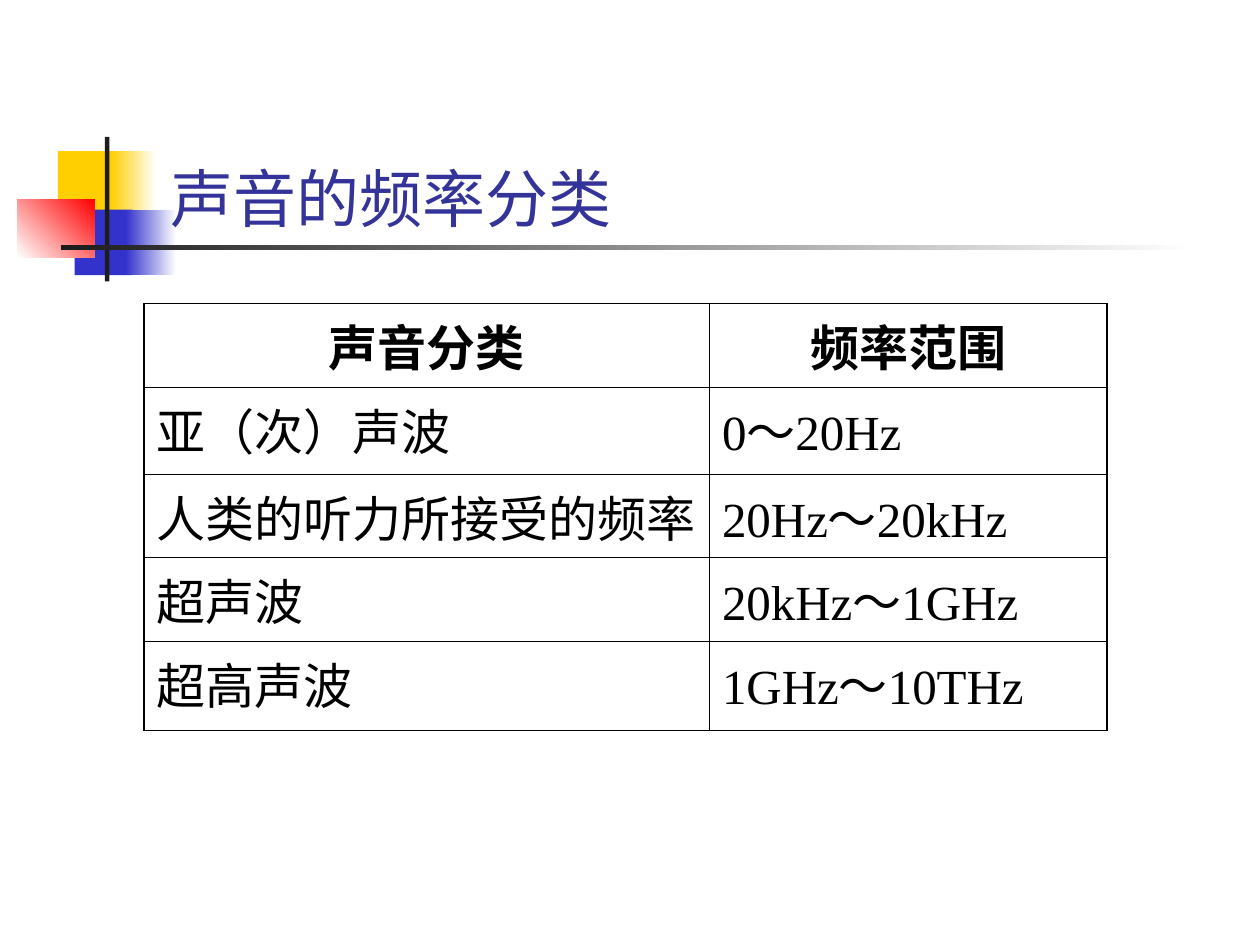
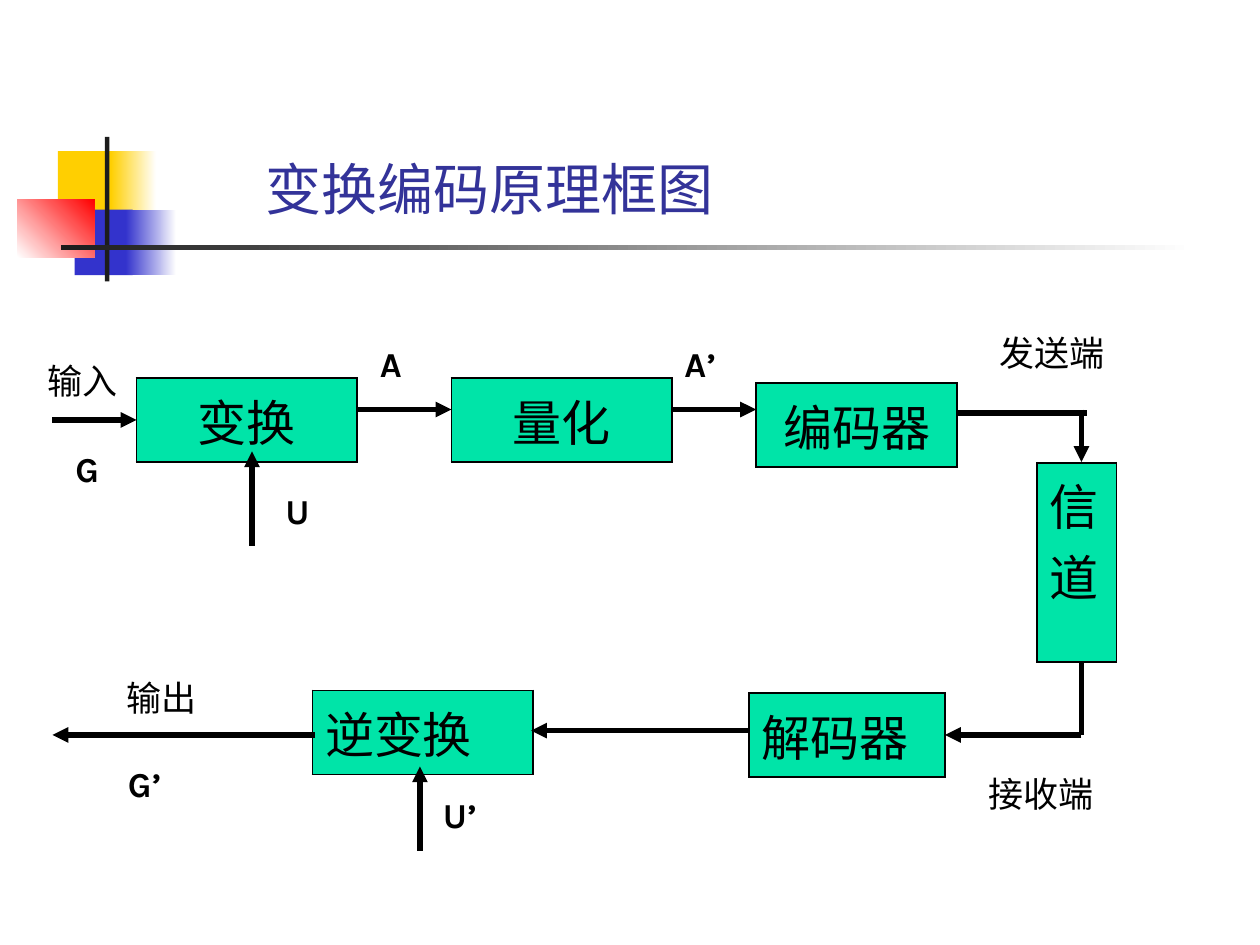
from typing import NamedTuple, Optional

from lxml.etree import SubElement
from pptx import Presentation
from pptx.dml.color import RGBColor
from pptx.enum.shapes import MSO_CONNECTOR as CONN, MSO_SHAPE as SHAPE
from pptx.enum.text import MSO_ANCHOR as ANCHOR, PP_ALIGN as ALIGN
from pptx.oxml.ns import qn
from pptx.util import Pt

BLACK = RGBColor(0x00, 0x00, 0x00)
WHITE = RGBColor(0xFF, 0xFF, 0xFF)
YELLOW = RGBColor(0xFF, 0xCF, 0x01)
BLUE = RGBColor(0x33, 0x33, 0xCC)
RED = RGBColor(0xFF, 0x00, 0x00)
CHARCOAL = RGBColor(0x1C, 0x1C, 0x1C)
TITLE_COLOR = RGBColor(0x33, 0x33, 0x99)
GREEN = RGBColor(0x00, 0xE4, 0xA8)

SANS, CJK, SERIF = "Karla", "Noto Sans CJK SC", "Times New Roman"
THIN, THICK = 0.45, 1.08
BOX_HEIGHT = 48
LABEL_HEIGHT = 31.7


class Patch(NamedTuple):
    """A decoration rectangle, plain or fading to a second colour."""
    left: float
    top: float
    width: float
    height: float
    color: RGBColor
    fade_to: Optional[RGBColor] = None
    angle: float = 0


class Box(NamedTuple):
    text: str
    left: float
    top: float
    width: float
    height: float = BOX_HEIGHT
    align: ALIGN = ALIGN.LEFT


class Arrow(NamedTuple):
    x1: float
    y1: float
    x2: float
    y2: float
    head: bool = True


class Label(NamedTuple):
    text: str
    left: float
    top: float
    width: float
    bold: bool = False


DECORATION = [
    Patch(33.1, 86.4, 34.6, 37.4, YELLOW),
    Patch(63.4, 86.4, 25.9, 37.4, YELLOW, WHITE),
    Patch(42.7, 119.8, 33.1, 37.4, BLUE),
    Patch(72, 119.8, 28.8, 37.4, BLUE, WHITE),
    Patch(10, 113.8, 44, 33.1, WHITE, RED, 45),
    Patch(60, 78.2, 2.5, 82.6, CHARCOAL),
    Patch(34.6, 140.1, 648, 2.8, CHARCOAL, WHITE),
]

FREQUENCIES = [
    ("声音分类", "频率范围"),
    ("亚（次）声波", "0～20Hz"),
    ("人类的听力所接受的频率", "20Hz～20kHz"),
    ("超声波", "20kHz～1GHz"),
    ("超高声波", "1GHz～10THz"),
]
COLUMN_WIDTHS = [323, 227.1]
ROW_HEIGHTS = [47.8, 49.7, 47.8, 47.8, 51]

BOXES = [
    Box("变换", 78, 216, 126, align=ALIGN.CENTER),
    Box("量化", 258, 216, 126, align=ALIGN.CENTER),
    Box("编码器", 432, 219, 115, align=ALIGN.CENTER),
    Box("解码器", 428, 396, 112),
    Box("逆变换", 178.6, 394.6, 126),
    Box("信道", 592.6, 264.4, 45.4, 113.8),
]

ARROWS = [
    Arrow(30, 240, 78, 240),
    Arrow(204, 234, 258, 234),
    Arrow(384, 234, 432, 234),
    Arrow(547, 236, 621, 236, head=False),
    Arrow(618, 234, 618, 264),
    Arrow(618, 378, 618, 420, head=False),
    Arrow(618, 420, 540, 420),
    Arrow(428, 417.5, 303.5, 417.5),
    Arrow(180, 420, 30, 420),
    Arrow(240, 486, 240, 438),
    Arrow(144, 312, 144, 258),
]

LABELS = [
    Label("输入", 20, 202, 60),
    Label("发送端", 564, 186, 80),
    Label("接收端", 558, 438, 80),
    Label("输出", 65, 383, 60),
    Label("G", 36, 252, 48, True),
    Label("G’", 66, 432, 48, True),
    Label("U’", 246, 450, 48, True),
    Label("U", 156, 276, 48, True),
    Label("A’", 384, 192, 48, True),
    Label("A", 210, 192, 48, True),
]


def set_text(tf, text: str, size: float, font: str = SANS, color: RGBColor = BLACK,
             bold: bool = False, align: ALIGN = ALIGN.LEFT) -> None:
    tf.text = text
    p = tf.paragraphs[0]
    p.alignment = align
    r = p.runs[0]
    r.font.size, r.font.name, r.font.bold = Pt(size), font, bold
    r.font.color.rgb = color
    SubElement(r.font._element, qn("a:ea"), typeface=CJK)


def add_patch(slide, patch: Patch) -> None:
    s = slide.shapes.add_shape(SHAPE.RECTANGLE, Pt(patch.left), Pt(patch.top),
                               Pt(patch.width), Pt(patch.height))
    s.shadow.inherit = False
    s.line.fill.background()
    if patch.fade_to is None:
        s.fill.solid()
        s.fill.fore_color.rgb = patch.color
        return
    s.fill.gradient()
    s.fill.gradient_angle = patch.angle
    for stop, color in zip(s.fill.gradient_stops, (patch.color, patch.fade_to)):
        stop.color.rgb = color


def add_textbox(slide, left: float, top: float, width: float, height: float):
    """Add a wrapping text box and return its text frame."""
    tf = slide.shapes.add_textbox(Pt(left), Pt(top), Pt(width), Pt(height)).text_frame
    tf.word_wrap = True
    return tf


def add_slide(prs, title: str, size: float, left: float, top: float,
              width: float, height: float, font: str = SANS):
    """Add a blank slide with the shared decoration and its title."""
    slide = prs.slides.add_slide(prs.slide_layouts[6])
    for patch in DECORATION:
        add_patch(slide, patch)
    tf = add_textbox(slide, left, top, width, height)
    tf.vertical_anchor = ANCHOR.BOTTOM
    set_text(tf, title, size, font, TITLE_COLOR)
    return slide


def set_borders(cell, left: float, right: float, top: float, bottom: float) -> None:
    tc_pr = cell._tc.get_or_add_tcPr()
    for side, width in zip("LRTB", (left, right, top, bottom)):
        ln = SubElement(tc_pr, qn(f"a:ln{side}"), w=str(Pt(width)))
        fill = SubElement(ln, qn("a:solidFill"))
        SubElement(fill, qn("a:srgbClr"), val=str(BLACK))


def add_plain_table(slide, left: float, top: float, widths: list[float],
                    heights: list[float]):
    """Add a table without header or banding styles."""
    table = slide.shapes.add_table(len(heights), len(widths), Pt(left), Pt(top),
                                   Pt(sum(widths)), Pt(sum(heights))).table
    table.first_row = table.horz_banding = False
    for column, width in zip(table.columns, widths):
        column.width = Pt(width)
    for row, height in zip(table.rows, heights):
        row.height = Pt(height)
    return table


def add_frequency_table(slide) -> None:
    table = add_plain_table(slide, 82.4, 173.4, COLUMN_WIDTHS, ROW_HEIGHTS)
    last = len(FREQUENCIES) - 1
    for i, row in enumerate(FREQUENCIES):
        header = i == 0
        for j, text in enumerate(row):
            cell = table.cell(i, j)
            set_text(cell.text_frame, text, 28, SANS if header else SERIF, bold=header,
                     align=ALIGN.CENTER if header else ALIGN.LEFT)
            set_borders(cell, THICK if j == 0 else THIN, THICK if j == 1 else THIN,
                        THIN, THICK if i == last else THIN)
            cell.fill.background()


def add_box(slide, box: Box) -> None:
    cell = add_plain_table(slide, box.left, box.top, [box.width], [box.height]).cell(0, 0)
    set_text(cell.text_frame, box.text, 28, align=box.align)
    set_borders(cell, THICK, THICK, THICK, THICK)
    cell.fill.solid()
    cell.fill.fore_color.rgb = GREEN


def add_arrow(slide, arrow: Arrow) -> None:
    s = slide.shapes.add_connector(CONN.STRAIGHT, Pt(arrow.x1), Pt(arrow.y1),
                                   Pt(arrow.x2), Pt(arrow.y2))
    s.line.width = Pt(3)
    s.line.color.rgb = BLACK
    if arrow.head:
        SubElement(s.line._get_or_add_ln(), qn("a:tailEnd"), type="triangle")
    SubElement(s._element.spPr, qn("a:effectLst"))


def add_label(slide, label: Label) -> None:
    tf = add_textbox(slide, label.left, label.top, label.width, LABEL_HEIGHT)
    set_text(tf, label.text, 20, bold=label.bold)


def main() -> None:
    prs = Presentation()
    prs.slide_width, prs.slide_height = Pt(720), Pt(540)

    add_frequency_table(add_slide(prs, "声音的频率分类", 36, 90.4, 48, 395.3, 90))

    slide = add_slide(prs, "变换编码原理框图", 32, 144.7, 69, 433.4, 61.2, CJK)
    for box in BOXES:
        add_box(slide, box)
    for arrow in ARROWS:
        add_arrow(slide, arrow)
    for label in LABELS:
        add_label(slide, label)

    prs.save("out.pptx")


if __name__ == "__main__":
    main()
